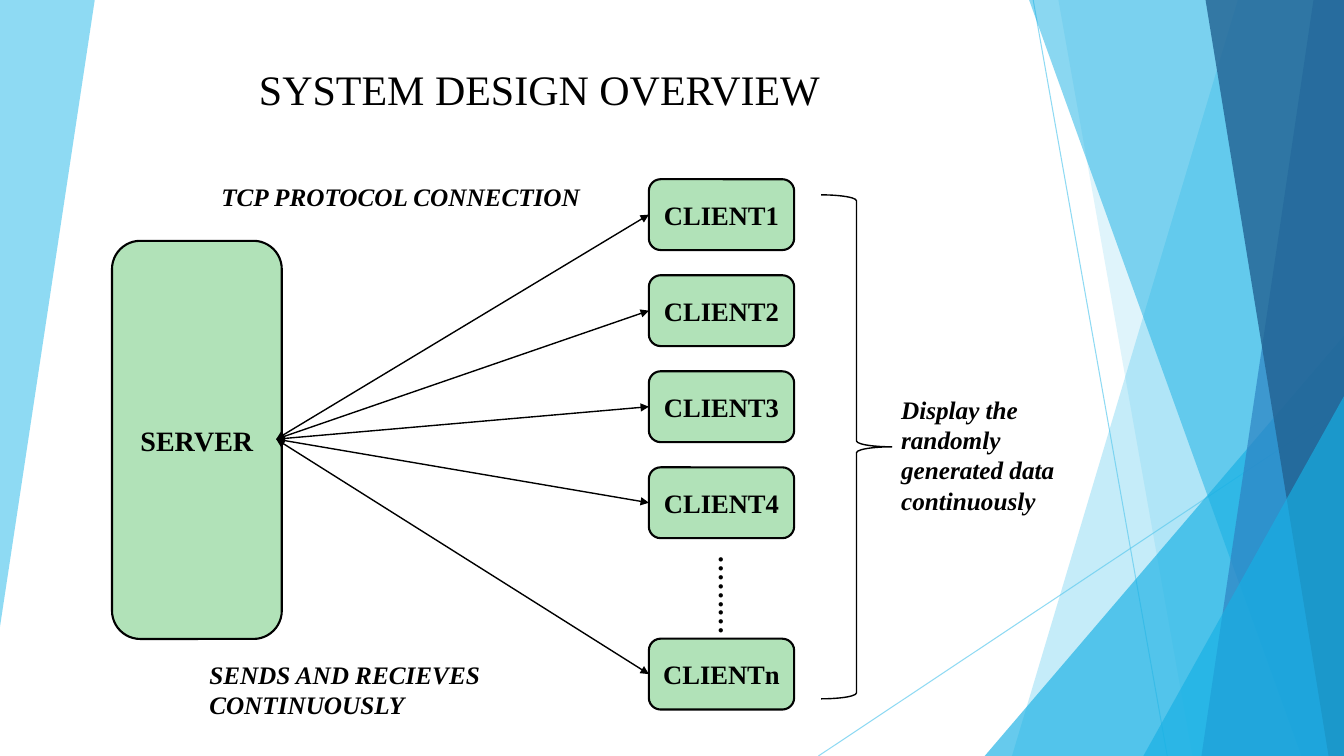
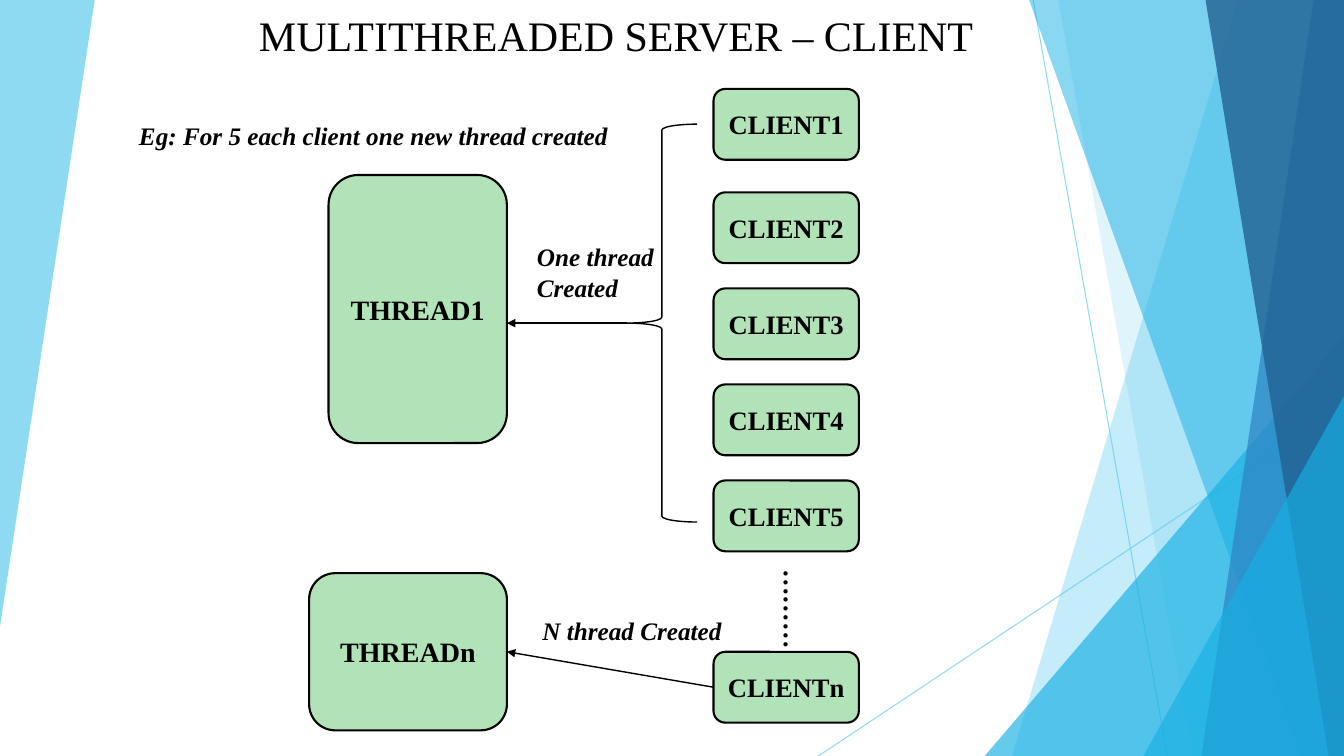
from collections import namedtuple

from lxml.etree import SubElement
from pptx import Presentation
from pptx.dml.color import RGBColor
from pptx.enum.shapes import MSO_CONNECTOR as Connector, MSO_SHAPE as Preset
from pptx.enum.text import MSO_ANCHOR as Anchor, MSO_AUTO_SIZE as AutoSize, PP_ALIGN as Align
from pptx.oxml.ns import qn
from pptx.util import Pt

FONT = "Times New Roman"
COLORS = {
    "ink": "000000", "rim": "020202", "card": "B1E2B8", "sky": "5FCBEF",
    "azure": "17B0E4", "blue": "2E83C3", "navy": "226292",
}
CLIENT_WIDTH, CLIENT_HEIGHT, CLIENT_STEP = 103.8, 50.6, 68.6


class Box(namedtuple("Box", "left top width height")):
    """A rectangle in points."""

    @property
    def right(self):
        """Return the right edge."""
        return self.left + self.width

    @property
    def bottom(self):
        """Return the bottom edge."""
        return self.top + self.height

    @property
    def middle(self):
        """Return the vertical centre."""
        return self.top + self.height / 2

    def inner(self, left, top, width, height):
        """Return a box placed from this box's top left corner."""
        return Box(self.left + left, self.top + top, width, height)

    def lengths(self):
        """Return the four measures as lengths."""
        return [Pt(value) for value in self]


def color(name):
    """Return a palette colour."""
    return RGBColor.from_string(COLORS[name])


def write(frame, text, size=18, bold=True, italic=False, align=Align.LEFT,
          anchor=Anchor.TOP, wrap=True):
    """Fill a text frame with one formatted paragraph."""
    frame.word_wrap = wrap
    frame.auto_size = AutoSize.NONE
    frame.vertical_anchor = anchor
    para = frame.paragraphs[0]
    para.alignment = align
    span = para.add_run()
    span.text = text
    span.font.name, span.font.size = FONT, Pt(size)
    span.font.bold, span.font.italic = bold, italic
    span.font.color.rgb = color("ink")


def fade(shape, percent):
    """Make the colours of a shape partly transparent."""
    for node in shape.element.iter(qn("a:srgbClr")):
        SubElement(node, qn("a:alpha"), val=str(percent * 1000))


def link(page, start, end, name="ink", width=1, head=False, tail=False):
    """Draw a straight line with optional arrowheads."""
    points = [Pt(value) for value in (*start, *end)]
    line = page.shapes.add_connector(Connector.STRAIGHT, *points)
    line.line.width = Pt(width)
    line.line.color.rgb = color(name)
    properties = line.element.spPr
    outline = properties.find(qn("a:ln"))
    for tag, wanted in (("a:headEnd", head), ("a:tailEnd", tail)):
        if wanted:
            SubElement(outline, qn(tag), type="triangle")
    SubElement(properties, qn("a:effectLst"))
    return line


def tint(shape, name, percent):
    """Give a backdrop shape a transparent fill and no outline."""
    shape.shadow.inherit = False
    shape.fill.solid()
    shape.fill.fore_color.rgb = color(name)
    shape.line.fill.background()
    fade(shape, percent)
    return shape


def polygon(page, points, name, percent):
    """Draw a closed transparent outline."""
    first, *rest = [(Pt(x), Pt(y)) for x, y in points]
    builder = page.shapes.build_freeform(*first)
    builder.add_line_segments(rest, close=True)
    return tint(builder.convert_to_shape(), name, percent)


def ribbon(page, box, top_x, bottom_x, name, percent):
    """Draw a band from a slanted edge to the right side of the box."""
    points = [(box.left + top_x, box.top), (box.right, box.top),
              (box.right, box.bottom), (box.left + bottom_x, box.bottom)]
    return polygon(page, points, name, percent)


def corner(page, box, width, height, name, percent):
    """Draw a right triangle in the lower right corner of the box."""
    place = Box(box.right - width, box.bottom - height, width, height)
    shape = page.shapes.add_shape(Preset.ISOSCELES_TRIANGLE, *place.lengths())
    shape.adjustments[0] = 1
    return tint(shape, name, percent)


def backdrop(page, layout, box):
    """Draw the shared facets and move them to the layout."""
    left, top = box.left, box.top
    parts = [polygon(page, [(left, top), (left + 67.7, top), (left, top + 447.8)], "sky", 70)]
    for start, end in (((738, 0), (833.8, 540)), ((960, 290.2), (584.6, 540))):
        ray = link(page, (left + start[0], top + start[1]),
                   (left + end[0], top + end[1]), name="sky", width=0.75)
        fade(ray, 70)
        parts.append(ray)
    parts += [
        ribbon(page, box, 884.2, 722.9, "sky", 36),
        ribbon(page, box, 756, 851.8, "sky", 20),
        corner(page, box, 256.6, 300.2, "azure", 66),
        ribbon(page, box, 735.1, 929.5, "azure", 50),
        ribbon(page, box, 938.2, 858.2, "blue", 70),
        ribbon(page, box, 861.1, 949, "navy", 80),
        corner(page, box, 143.3, 257, "azure", 66),
    ]
    for number, part in enumerate(parts, 100):
        next(part.element.iter(qn("p:cNvPr"))).set("id", str(number))
        layout.shapes.element.append(part.element)


def headline(page, text, box):
    """Place the title."""
    title = page.shapes.title
    title.left, title.top, title.width, title.height = box.lengths()
    write(title.text_frame, text, size=30, bold=False, anchor=Anchor.BOTTOM)


def card(page, text, box, size=20, rim="ink"):
    """Draw a rounded green card and return its box."""
    shape = page.shapes.add_shape(Preset.ROUNDED_RECTANGLE, *box.lengths())
    shape.shadow.inherit = False
    shape.fill.solid()
    shape.fill.fore_color.rgb = color("card")
    shape.line.color.rgb = color(rim)
    shape.line.width = Pt(1.5)
    write(shape.text_frame, text, size=size, align=Align.CENTER,
          anchor=Anchor.MIDDLE, wrap=False)
    return box


def client(page, label, left, top):
    """Draw one client card and return its box."""
    box = Box(left, top, CLIENT_WIDTH, CLIENT_HEIGHT)
    return card(page, f"CLIENT{label}", box, size=19, rim="rim")


def client_stack(page, box, numbers):
    """Stack numbered clients, dots and a last client; return the card boxes."""
    cards = [client(page, number, box.left, box.top + index * CLIENT_STEP)
             for index, number in enumerate(numbers)]
    last = client(page, "n", box.left, box.bottom - CLIENT_HEIGHT)
    dots = note(page, "………", last.inner(1.4, -25.2, 112.3, 30.2), size=19, italic=False)
    dots.rotation = 90
    return cards + [last]


def note(page, text, box, size=18, italic=True):
    """Place a free label."""
    label = page.shapes.add_textbox(*box.lengths())
    write(label.text_frame, text, size=size, italic=italic)
    return label


def brace(page, preset, box):
    """Draw a curly brace."""
    shape = page.shapes.add_shape(preset, *box.lengths())
    shape.shadow.inherit = False
    shape.fill.background()
    shape.line.color.rgb = color("ink")
    shape.line.width = Pt(1)


def system_page(page, box):
    """Build the overview of one server and its clients."""
    headline(page, "SYSTEM DESIGN OVERVIEW", box.inner(177.8, 16.6, 540, 68.4))
    server = card(page, "SERVER", box.inner(80, 172, 121.3, 284.4))
    clients = client_stack(page, box.inner(463.5, 128, CLIENT_WIDTH, 378.8), range(1, 5))
    for target in clients:
        link(page, (server.right - 4, server.middle - 0.5), (target.left, target.middle),
             head=True, tail=True)
    note(page, "TCP PROTOCOL CONNECTION", box.inner(151, 126, 293, 29))
    note(page, "SENDS AND RECIEVES CONTINUOUSLY", box.inner(142.4, 467.4, 321, 51))
    brace(page, Preset.RIGHT_BRACE, box.inner(586.6, 139.2, 50.4, 360))
    note(page, "Display the randomly generated data continuously",
         box.inner(636.6, 278, 161.3, 94.3))


def thread_page(page, box):
    """Build the overview of threads and the clients they serve."""
    headline(page, "MULTITHREADED SERVER – CLIENT", box.inner(177.8, -22, 540, 68.4))
    first = card(page, "THREAD1", box.inner(234.7, 125, 127.4, 191.5))
    stack = box.inner(509.7, 137.4, CLIENT_WIDTH, 378.8)
    client(page, 1, stack.left, box.top + 63.5)
    clients = client_stack(page, stack, range(2, 6))
    last = card(page, "THREADn", box.inner(220.8, 409.4, 141.3, 112.3))
    group = box.inner(447.6, 88.7, 50.4, 284.2)
    brace(page, Preset.LEFT_BRACE, group)
    link(page, (group.left, group.middle), (first.right, group.middle), tail=True)
    link(page, (clients[-1].left, clients[-1].middle), (last.right, last.middle), tail=True)
    note(page, "Eg: For 5 each client one new thread created", box.inner(92.2, 82.7, 367.2, 29))
    note(page, "One thread Created", box.inner(376.4, 169, 147.6, 51))
    note(page, "N thread Created", box.inner(380.3, 436.3, 147.6, 29))


def main():
    """Build and save the deck."""
    deck = Presentation()
    whole = Box(0, 0, 960, 540)
    deck.slide_width, deck.slide_height = Pt(whole.width), Pt(whole.height)
    layout = deck.slide_layouts[5]
    pages = [deck.slides.add_slide(layout) for _ in range(2)]
    backdrop(pages[0], layout, whole)
    for page, build in zip(pages, (system_page, thread_page)):
        build(page, whole)
    deck.save("out.pptx")


if __name__ == "__main__":
    main()
